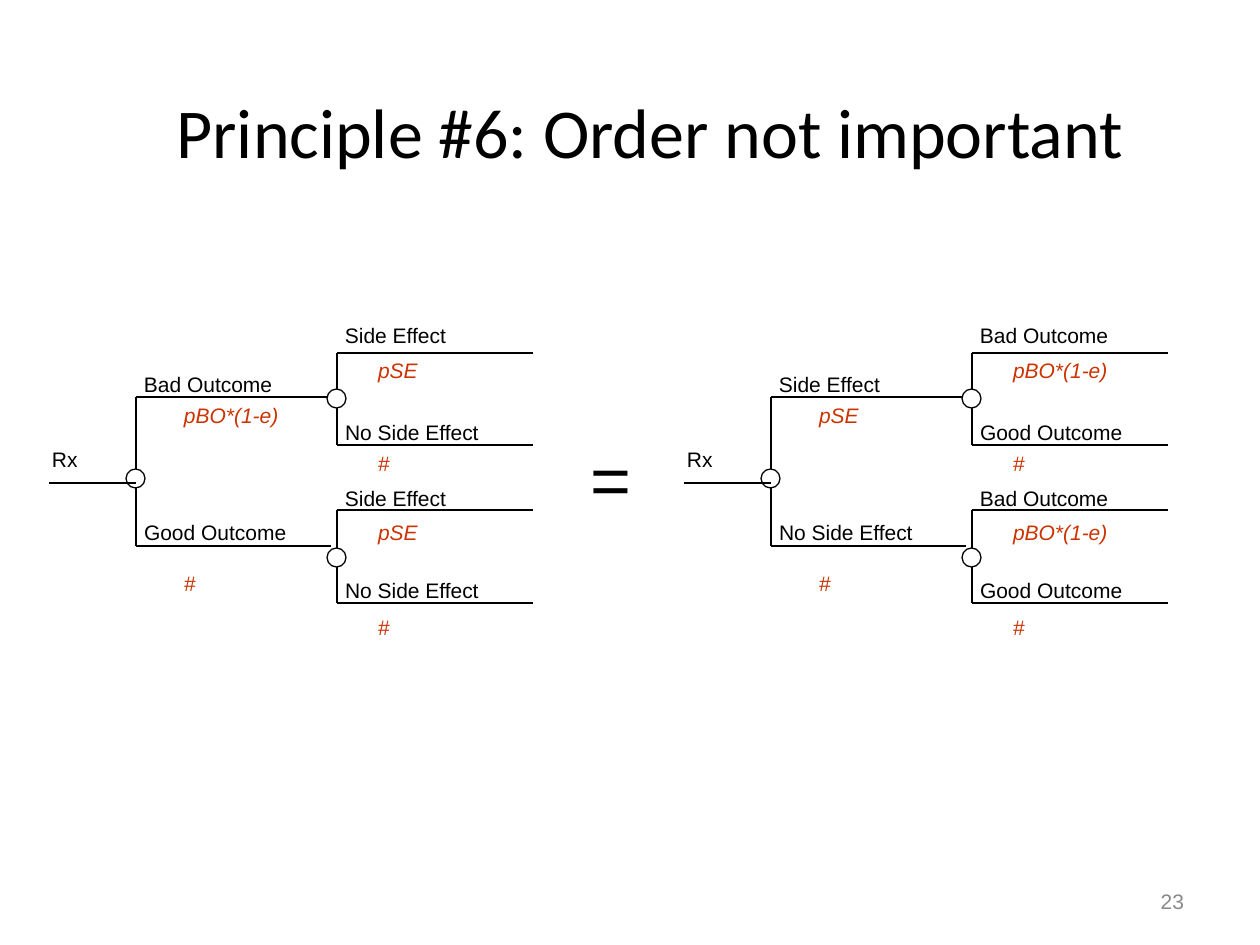
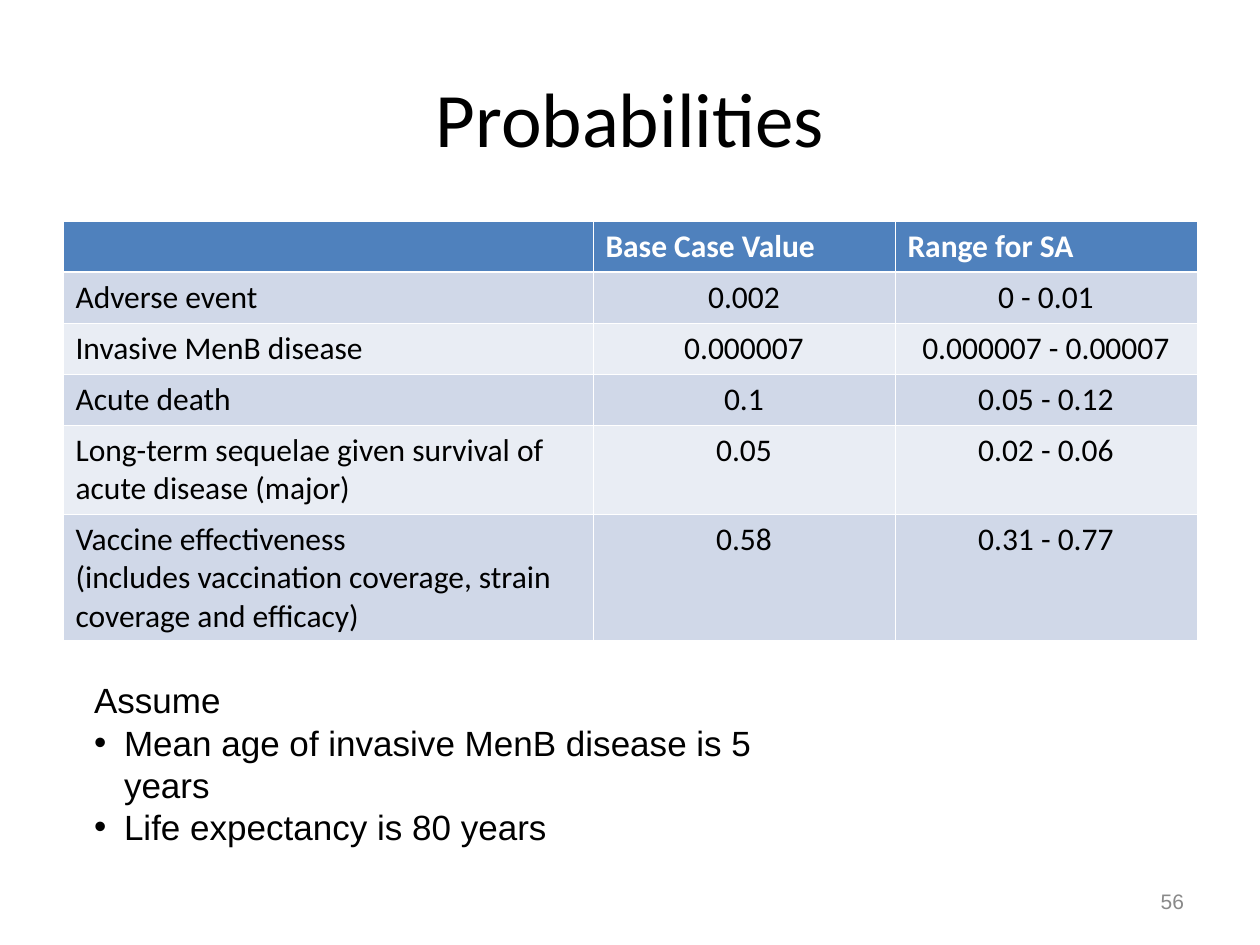
import lxml.etree
import pptx
import pptx.dml.color
import pptx.enum.shapes
import pptx.enum.text
import pptx.oxml.ns
import pptx.util

PX = 914400 / 126
BLACK, WHITE, GREY, RED = "000000", "FFFFFF", "898989", "CC3300"
HEADER, BAND_DARK, BAND_LIGHT = "4F81BD", "D0D8E8", "E9EDF4"
HEADING, BODY = "Calibri", "Arial"
ALIGN = pptx.enum.text.PP_ALIGN
ANCHOR = pptx.enum.text.MSO_ANCHOR

NODE = 19
TREE_SHIFT = 635
LABEL_WIDTHS = {"Bad Outcome": 129, "Good Outcome": 143, "Side Effect": 102,
                "No Side Effect": 135, "pBO*(1-e)": 95, "pSE": 41, "#": 12, "Rx": 32}

PROBABILITIES = [
    ("", "Base Case Value", "Range for SA"),
    ("Adverse event", "0.002", "0 - 0.01"),
    ("Invasive MenB disease", "0.000007", "0.000007 - 0.00007"),
    ("Acute death", "0.1", "0.05 - 0.12"),
    ("Long-term sequelae given survival of acute disease (major)", "0.05", "0.02 - 0.06"),
    ("Vaccine effectiveness\n(includes vaccination coverage, strain coverage and efficacy)",
     "0.58", "0.31 - 0.77"),
]


def px(n):
    return pptx.util.Emu(round(n * PX))


def rgb(hex_color):
    return pptx.dml.color.RGBColor.from_string(hex_color)


def sub(parent, tag, **attrs):
    return lxml.etree.SubElement(parent, pptx.oxml.ns.qn(tag), **attrs)


def write(p, text, size=12, font=BODY, color=BLACK, bold=False, italic=False,
          align=ALIGN.LEFT, leading=None, hanging=0):
    """Fill a paragraph; a hanging indent in px also gives it a bullet."""
    p.alignment = align
    if leading:
        p.line_spacing = pptx.util.Pt(leading)
    if hanging:
        pPr = p._p.get_or_add_pPr()
        pPr.set("marL", str(px(hanging)))
        pPr.set("indent", str(-px(hanging)))
        sub(pPr, "a:buFont", typeface=BODY)
        sub(pPr, "a:buChar", char="•")
    r = p.add_run()
    r.text = text
    r.font.size = pptx.util.Pt(size)
    r.font.name = font
    r.font.bold = bold
    r.font.italic = italic
    r.font.color.rgb = rgb(color)


def add_text(slide, box, text, anchor=ANCHOR.TOP, inset=(0, 0), wrap=True, **fmt):
    tf = slide.shapes.add_textbox(*map(px, box)).text_frame
    tf.word_wrap = wrap
    tf.vertical_anchor = anchor
    tf.margin_left = tf.margin_right = px(inset[0])
    tf.margin_top = tf.margin_bottom = px(inset[1])
    write(tf.paragraphs[0], text, **fmt)
    return tf


def add_title(slide, box, text, size, anchor):
    add_text(slide, box, text, anchor, (13, 6), size=size, font=HEADING, align=ALIGN.CENTER)


def add_page_number(slide, number):
    add_text(slide, (903, 876, 294, 50), number, ANCHOR.MIDDLE, (13, 6),
             color=GREY, align=ALIGN.RIGHT)


def add_line(slide, x1, y1, x2, y2):
    line = slide.shapes.add_connector(pptx.enum.shapes.MSO_CONNECTOR.STRAIGHT,
                                      px(x1), px(y1), px(x2), px(y2))
    line.line.color.rgb = rgb(BLACK)
    line.line.width = pptx.util.Pt(0.75)
    sub(line._element.spPr, "a:effectLst")


def add_label(slide, x, y, text, **fmt):
    add_text(slide, (x, y, LABEL_WIDTHS[text], 25), text, wrap=False, **fmt)


def add_fork(slide, x, right, node_top, prob_x, branches):
    """Draw a chance node; each branch is outcome, probability, and their tops around the line."""
    for outcome, prob, label_top, line_y, prob_top in branches:
        add_line(slide, x, line_y, right, line_y)
        add_label(slide, x + 8, label_top, outcome)
        add_label(slide, prob_x, prob_top, prob, color=RED, italic=True)
    add_line(slide, x, branches[0][3], x, branches[1][3])
    sp = slide.shapes.add_shape(pptx.enum.shapes.MSO_SHAPE.OVAL,
                                px(x - 10), px(node_top), px(NODE), px(NODE))
    sp.shadow.inherit = False
    sp.fill.solid()
    sp.fill.fore_color.rgb = rgb(WHITE)
    sp.line.color.rgb = rgb(BLACK)
    sp.line.width = pptx.util.Pt(0.75)


def add_tree(slide, left, top, first, second):
    """Draw a two-level tree; first and second each hold two (outcome, probability) pairs."""
    def fork(x, right, node_top, prob_x, pairs, heights):
        branches = [(*pair, *(top + y for y in ys)) for pair, ys in zip(pairs, heights)]
        add_fork(slide, left + x, left + right, top + node_top, left + prob_x, branches)

    fork(87, 282, 146, 135, first, [(49, 74, 80), (197, 223, 248)])
    fork(288, 484, 225, 329, second, [(163, 187, 197), (255, 280, 292)])
    fork(288, 484, 66, 329, second, [(0, 30, 35), (97, 122, 128)])
    add_label(slide, left + 3, top + 124, "Rx")
    add_line(slide, left, top + 160, left + 87, top + 160)


def add_cell_borders(cell, top, bottom):
    tcPr = cell._tc.get_or_add_tcPr()
    widths = {"a:lnL": 0.45, "a:lnR": 0.45, "a:lnT": top, "a:lnB": bottom}
    for tag, width in widths.items():
        ln = sub(tcPr, tag, w=str(pptx.util.Pt(width)))
        sub(sub(ln, "a:solidFill"), "a:srgbClr", val=WHITE)


def add_probability_table(slide, left, top):
    widths, heights = (530, 302, 302), (51, 51, 51, 51, 89, 126)
    table = slide.shapes.add_table(len(heights), len(widths), px(left), px(top),
                                   px(sum(widths)), px(sum(heights))).table
    for column, width in zip(table.columns, widths):
        column.width = px(width)
    for i, (row, values) in enumerate(zip(table.rows, PROBABILITIES)):
        row.height = px(heights[i])
        fill = HEADER if i == 0 else BAND_DARK if i % 2 else BAND_LIGHT
        for j, (cell, value) in enumerate(zip(row.cells, values)):
            add_cell_borders(cell, 1.47 if i == 1 else 0.45, 1.47 if i == 0 else 0.45)
            cell.fill.solid()
            cell.fill.fore_color.rgb = rgb(fill)
            for k, text in enumerate(filter(None, value.split("\n"))):
                p = cell.text_frame.add_paragraph() if k else cell.text_frame.paragraphs[0]
                write(p, text, size=18, font=HEADING, bold=i == 0,
                      color=BLACK if i else WHITE,
                      align=ALIGN.CENTER if i and j else ALIGN.LEFT)


def add_assumptions(slide, box):
    tf = add_text(slide, box, "Assume", inset=(13, 6), size=20, leading=24)
    for item in ("Mean age of invasive MenB disease is 5 years", "Life expectancy is 80 years"):
        write(tf.add_paragraph(), item, size=20, leading=24, hanging=30)


def build_order_slide(slide):
    add_title(slide, (95, 21, 1110, 158), "Principle #6: Order not important", 40, ANCHOR.BOTTOM)
    add_page_number(slide, "23")
    outcomes = [("Bad Outcome", "pBO*(1-e)"), ("Good Outcome", "#")]
    effects = [("Side Effect", "pSE"), ("No Side Effect", "#")]
    add_tree(slide, 49, 323, outcomes, effects)
    add_tree(slide, 49 + TREE_SHIFT, 323, effects, outcomes)
    add_text(slide, (591, 436, 40, 84), "=", wrap=False, size=40)


def build_probabilities_slide(slide):
    add_title(slide, (63, 38, 1134, 158), "Probabilities", 44, ANCHOR.MIDDLE)
    add_probability_table(slide, 63, 221)
    add_page_number(slide, "56")
    add_assumptions(slide, (81, 673, 760, 180))


def main():
    prs = pptx.Presentation()
    prs.slide_width, prs.slide_height = px(1260), px(945)
    for build in (build_order_slide, build_probabilities_slide):
        build(prs.slides.add_slide(prs.slide_layouts[6]))
    prs.save("out.pptx")


if __name__ == "__main__":
    main()
